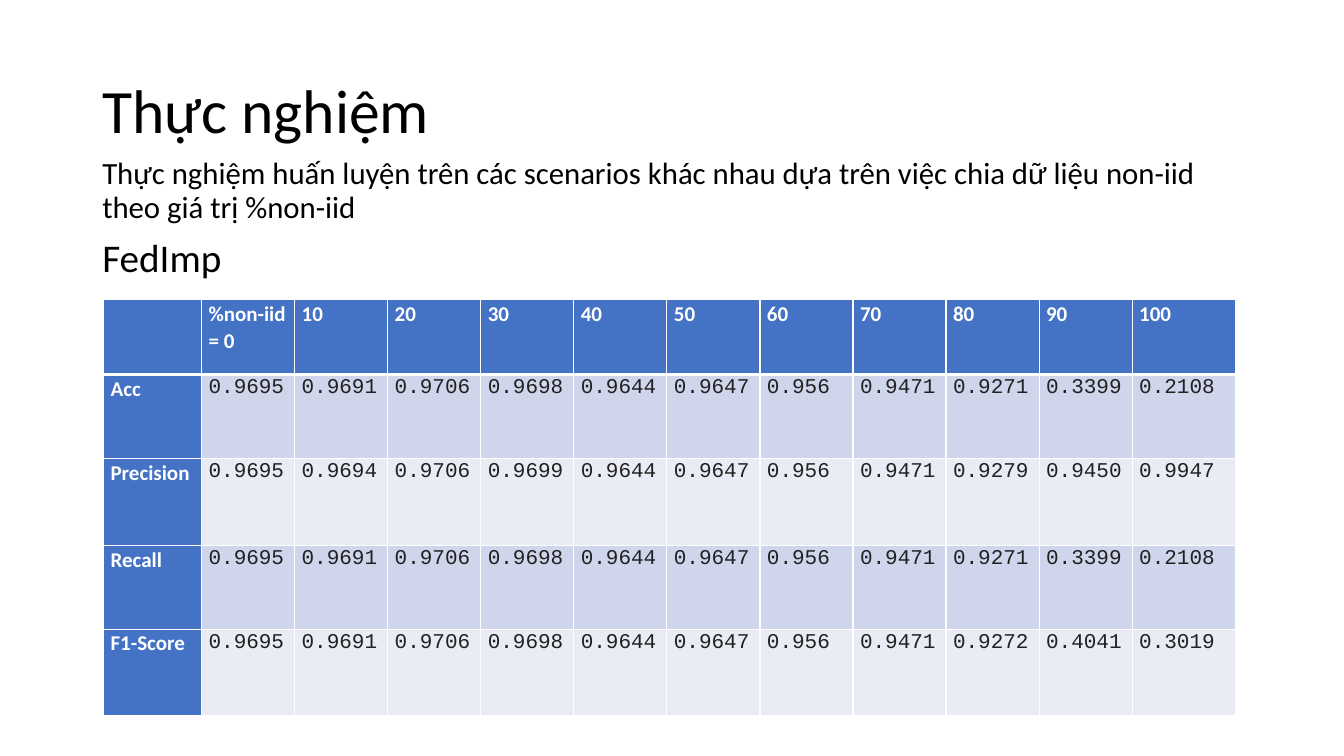
from lxml.etree import SubElement
from pptx import Presentation
from pptx.dml.color import RGBColor
from pptx.enum.text import MSO_ANCHOR
from pptx.oxml.ns import qn
from pptx.util import Pt

PX = 6350  # EMU per px, 144 px to the inch

BLACK = RGBColor(0x00, 0x00, 0x00)
WHITE = RGBColor(0xFF, 0xFF, 0xFF)
INK = RGBColor(0x21, 0x21, 0x21)
HEADER_BLUE = RGBColor(0x44, 0x72, 0xC4)
BANDS = [RGBColor(0xCF, 0xD5, 0xEA), RGBColor(0xE9, 0xEB, 0xF5)]

TITLE = "Thực nghiệm"
INTRO = ("Thực nghiệm huấn luyện trên các scenarios khác nhau dựa trên "
         "việc chia dữ liệu non-iid theo giá trị %non-iid")
METHOD = "FedImp"

HEADINGS = ["", "%non-iid = 0"] + [str(percent) for percent in range(10, 101, 10)]
SCORES = {
    "Acc": "0.9695 0.9691 0.9706 0.9698 0.9644 0.9647 0.956 0.9471 0.9271 0.3399 0.2108",
    "Precision": "0.9695 0.9694 0.9706 0.9699 0.9644 0.9647 0.956 0.9471 0.9279 0.9450 0.9947",
    "Recall": "0.9695 0.9691 0.9706 0.9698 0.9644 0.9647 0.956 0.9471 0.9271 0.3399 0.2108",
    "F1-Score": "0.9695 0.9691 0.9706 0.9698 0.9644 0.9647 0.956 0.9471 0.9272 0.4041 0.3019",
}
COLUMN_WIDTHS = [140] + [133] * 10 + [148]
ROW_HEIGHTS = [107, 120, 124, 120, 124]


def style_paragraph(paragraph, size, color, font="Calibri", bold=False, spacing=0.9):
    paragraph.line_spacing = spacing
    paragraph.font.size = Pt(size)
    paragraph.font.name = font
    paragraph.font.bold = bold
    paragraph.font.color.rgb = color


def add_text_frame(slide, box):
    frame = slide.shapes.add_textbox(*[length * PX for length in box]).text_frame
    frame.word_wrap = True
    return frame


def add_title(slide, box):
    frame = add_text_frame(slide, box)
    frame.vertical_anchor = MSO_ANCHOR.MIDDLE
    frame.text = TITLE
    style_paragraph(frame.paragraphs[0], 44, BLACK)


def add_body(slide, box):
    frame = add_text_frame(slide, box)
    frame.text = f"{INTRO}\n{METHOD}"
    for paragraph, size in zip(frame.paragraphs, (22, 28)):
        style_paragraph(paragraph, size, BLACK)
        paragraph.space_before = Pt(10)


def set_borders(cell, top, bottom):
    """Draw white cell borders; widths are in points, the sides always 1."""
    properties = cell._tc.get_or_add_tcPr()
    for side, width in (("L", 1), ("R", 1), ("T", top), ("B", bottom)):
        line = SubElement(properties, qn(f"a:ln{side}"), w=str(Pt(width)))
        SubElement(SubElement(line, qn("a:solidFill")), qn("a:srgbClr"), val=str(WHITE))


def fill_cell(cell, text, row, column):
    set_borders(cell, top=3 if row == 1 else 1, bottom=3 if row == 0 else 1)
    is_heading = row == 0 or column == 0
    cell.fill.solid()
    cell.fill.fore_color.rgb = HEADER_BLUE if is_heading else BANDS[(row - 1) % 2]
    cell.margin_left = cell.margin_right = 10 * PX
    cell.margin_top = cell.margin_bottom = 0
    cell.text = text
    paragraph = cell.text_frame.paragraphs[0]
    if is_heading:
        style_paragraph(paragraph, 15, WHITE, bold=True, spacing=1.07)
    else:
        style_paragraph(paragraph, 15, INK, font="Courier New", spacing=1.07)


def add_score_table(slide, left, top):
    rows = [HEADINGS] + [[metric] + scores.split() for metric, scores in SCORES.items()]
    table = slide.shapes.add_table(
        len(rows), len(HEADINGS), left * PX, top * PX,
        sum(COLUMN_WIDTHS) * PX, sum(ROW_HEIGHTS) * PX).table
    for column, width in zip(table.columns, COLUMN_WIDTHS):
        column.width = width * PX
    for row, height in zip(table.rows, ROW_HEIGHTS):
        row.height = height * PX
    for r, texts in enumerate(rows):
        for c, text in enumerate(texts):
            fill_cell(table.cell(r, c), text, r, c)


def main():
    deck = Presentation()
    deck.slide_width, deck.slide_height = 1920 * PX, 1080 * PX
    slide = deck.slides.add_slide(deck.slide_layouts[6])
    add_title(slide, (132, 58, 1656, 209))
    add_body(slide, (132, 219, 1656, 804))
    add_score_table(slide, 148, 428)
    deck.save("out.pptx")


if __name__ == "__main__":
    main()
